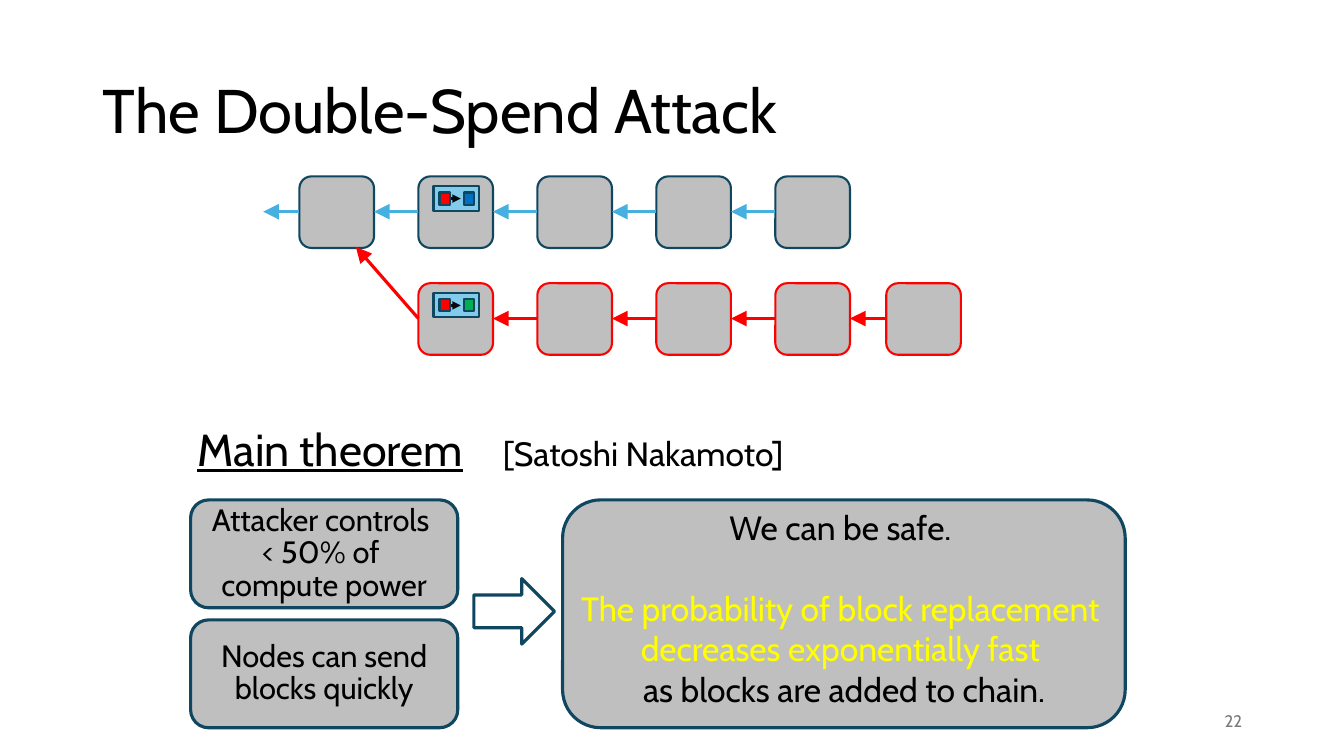
from lxml import etree
from pptx import Presentation
from pptx.dml.color import RGBColor
from pptx.enum.shapes import MSO_CONNECTOR, MSO_SHAPE
from pptx.enum.text import MSO_ANCHOR, PP_ALIGN
from pptx.oxml.ns import qn
from pptx.util import Inches, Pt

BLACK = RGBColor(0x00, 0x00, 0x00)
GRAY = RGBColor(0xBF, 0xBF, 0xBF)
NUMBER_GRAY = RGBColor(0x79, 0x79, 0x79)
NAVY = RGBColor(0x10, 0x47, 0x60)
SKY = RGBColor(0x46, 0xB1, 0xE1)
PALE_SKY = RGBColor(0x83, 0xCB, 0xEB)
INK = RGBColor(0x04, 0x0A, 0x10)
RED = RGBColor(0xFF, 0x00, 0x00)
BLUE = RGBColor(0x00, 0x70, 0xC0)
GREEN = RGBColor(0x00, 0xB0, 0x50)
YELLOW = RGBColor(0xFF, 0xFF, 0x00)
FONT = "Cabin"

TITLE = "The Double-Spend Attack"
PAGE = "22"
THEOREM, AUTHOR = "Main theorem", "[Satoshi Nakamoto]"
CONDITIONS = [
    ["Attacker controls ", "< 50% of ", "compute power"],
    ["Nodes can send blocks quickly"],
]
SAFE = "We can be safe."
PROBABILITY = "The probability of block replacement decreases exponentially fast"
CHAIN_END = " as blocks are added to chain."

BLOCK_W, BLOCK_H, PITCH, CHAIN_X = 0.74, 0.71, 1.18, 2.97
HONEST_Y, ATTACK_Y = 1.75, 2.81
HONEST_X = [CHAIN_X + i * PITCH for i in range(5)]
ATTACK_X = HONEST_X[1:] + [8.79]
# (block lefts, top, outline, arrow colour, end of first arrow, payee colour, payment block)
CHAINS = [
    (HONEST_X, HONEST_Y, NAVY, SKY, (2.61, HONEST_Y + 0.35), BLUE, 1),
    (ATTACK_X, ATTACK_Y, RED, RED, (3.53, HONEST_Y + 0.7), GREEN, 0),
]

prs = Presentation()
prs.slide_width, prs.slide_height = Inches(13.33), Inches(7.5)
s = prs.slides.add_slide(prs.slide_layouts[5])


def add_box(kind, x, y, w, h, fill, line, width=1.5):
    sp = s.shapes.add_shape(kind, Inches(x), Inches(y), Inches(w), Inches(h))
    sp.shadow.inherit = False
    if fill is None:
        sp.fill.background()
    else:
        sp.fill.solid()
        sp.fill.fore_color.rgb = fill
    sp.line.color.rgb = line
    sp.line.width = Pt(width)
    return sp


def add_arrow(start, end, color, width=2.25, head="lg"):
    c = s.shapes.add_connector(MSO_CONNECTOR.STRAIGHT, *map(Inches, start + end))
    c.line.color.rgb = color
    c.line.width = Pt(width)
    etree.SubElement(c.line._get_or_add_ln(), qn("a:tailEnd"), type="triangle", w=head, len=head)
    etree.SubElement(c._element.spPr, qn("a:effectLst"))


def add_text(x, y, w, h):
    tf = s.shapes.add_textbox(Inches(x), Inches(y), Inches(w), Inches(h)).text_frame
    tf.word_wrap = True
    return tf


def add_run(p, text, size, color=BLACK):
    r = p.add_run()
    r.text = text
    r.font.name = FONT
    r.font.size = Pt(size)
    r.font.color.rgb = color
    return r


def add_payment(x, y, payee):
    """Draw a transaction from the red coin to the payee."""
    add_box(MSO_SHAPE.RECTANGLE, x, y, 0.45, 0.24, PALE_SKY, NAVY)
    for dx, color in ((0.06, RED), (0.3, payee)):
        add_box(MSO_SHAPE.RECTANGLE, x + dx, y + 0.06, 0.1, 0.12, color, NAVY)
    add_arrow((x + 0.17, y + 0.12), (x + 0.27, y + 0.12), INK, 2, "med")


title = s.shapes.title
title.left, title.top, title.width, title.height = map(Inches, (0.92, 0.4, 11.5, 1.45))
tf = title.text_frame
tf.vertical_anchor = MSO_ANCHOR.MIDDLE
p = tf.paragraphs[0]
p.alignment = PP_ALIGN.LEFT
p.line_spacing = 0.9
add_run(p, TITLE, 44)

for lefts, top, outline, color, end, payee, paid in CHAINS:
    for x in lefts:
        add_box(MSO_SHAPE.ROUNDED_RECTANGLE, x, top, BLOCK_W, BLOCK_H, GRAY, outline)
        add_arrow((x, top + 0.35), end, color)
        end = (x + BLOCK_W, top + 0.35)
    add_payment(lefts[paid] + 0.15, top + 0.1, payee)

p = add_text(1.86, 4.13, 7.67, 0.64).paragraphs[0]
add_run(p, THEOREM, 32).font.underline = True
add_run(p, "\t", 32)
add_run(p, AUTHOR, 24)
tabs = etree.SubElement(p._p.get_or_add_pPr(), qn("a:tabLst"))
etree.SubElement(tabs, qn("a:tab"), pos=str(Inches(3.03)), algn="l")

for i, lines in enumerate(CONDITIONS):
    sp = add_box(MSO_SHAPE.ROUNDED_RECTANGLE, 1.89, 4.96 + i * 1.19, 2.65, 1.07, GRAY, NAVY, 2.25)
    tf = sp.text_frame
    tf.word_wrap = True
    tf.margin_top = tf.margin_bottom = 0
    tf.vertical_anchor = MSO_ANCHOR.MIDDLE
    p = tf.paragraphs[0]
    p.alignment = PP_ALIGN.CENTER
    p.line_spacing = 0.88
    for j, text in enumerate(lines):
        if j:
            p.add_line_break()
        add_run(p, text, 22)

add_box(MSO_SHAPE.RIGHT_ARROW, 4.7, 5.74, 0.8, 0.65, None, NAVY, 2.25)

add_box(MSO_SHAPE.ROUNDED_RECTANGLE, 5.58, 4.96, 5.58, 2.26, GRAY, NAVY, 2.25)
tf = add_text(5.5, 4.98, 5.67, 2.12)
p = tf.paragraphs[0]
p.alignment = PP_ALIGN.CENTER
add_run(p, SAFE, 24)
p = tf.add_paragraph()
p.alignment = PP_ALIGN.CENTER
p.space_before = Pt(29)
add_run(p, PROBABILITY, 24, YELLOW)
p.add_line_break()
add_run(p, CHAIN_END, 24)

tf = add_text(9.42, 6.95, 3, 0.4)
tf.vertical_anchor = MSO_ANCHOR.MIDDLE
p = tf.paragraphs[0]
p.alignment = PP_ALIGN.RIGHT
add_run(p, PAGE, 12, NUMBER_GRAY)

prs.save("out.pptx")
